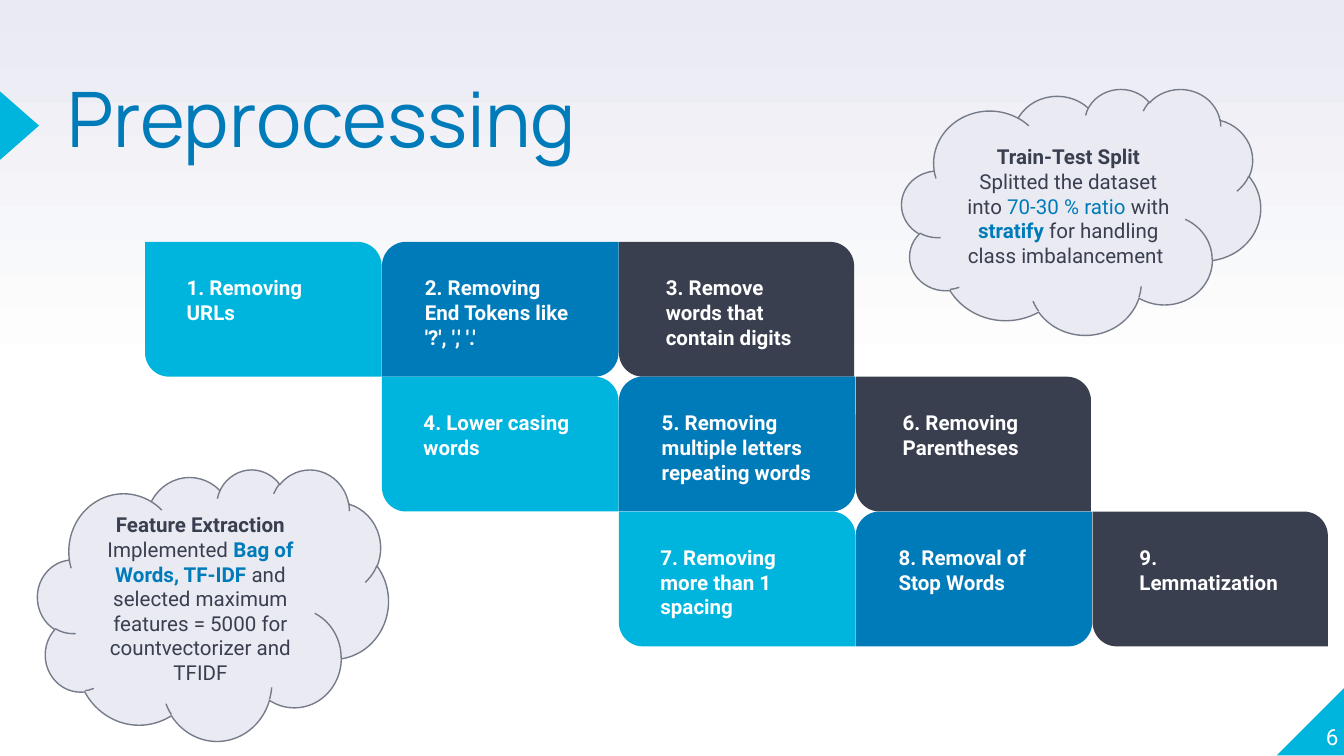
"""Build the Preprocessing slide: a staircase of nine steps and two cloud notes."""
from typing import NamedTuple

from pptx import Presentation
from pptx import util as u
from pptx.dml.color import RGBColor
from pptx.enum import shapes, text

COLORS = {
    "cyan": "00B5DD", "blue": "007BB9", "dark": "3A3F50",
    "pale": "E9EAF2", "outline": "757B89", "white": "FFFFFF",
}
MSO = shapes.MSO_SHAPE
ALIGN = text.PP_ALIGN
ANCHOR = text.MSO_ANCHOR
SLIDE_W = 10
SLIDE_H = SLIDE_W * 9 / 16
START_X, START_Y = 1.08, 1.8
PITCH_X, PITCH_Y = (8.13 - START_X) / 4, (4.81 - START_Y) / 3


class Box(NamedTuple):
    left: float
    top: float
    width: float
    height: float


class Run(NamedTuple):
    text: str
    color: str = "dark"
    bold: bool = False


class Column(NamedTuple):
    color: str
    corners: tuple[float, float]
    width: float
    inset: float
    text_width: float


class Cloud(NamedTuple):
    box: Box
    paragraphs: list[list[Run]]


COLUMNS = [
    Column("cyan", (0, 0.178), 1.76, 0.21, 1.32),
    Column("blue", (0.178, 0), 1.76, 0.22, 1.32),
    Column("dark", (0, 0.178), 1.75, 0.25, 1.25),
]
STEPS = [
    ["1. Removing URLs", "2. Removing End Tokens like '?', ',' '.'",
     "3. Remove words that contain digits"],
    ["4. Lower casing words", "5. Removing multiple letters repeating words",
     "6. Removing Parentheses"],
    ["7. Removing more than 1 spacing", "8. Removal of Stop Words",
     "9. Lemmatization"],
]
CLOUDS = [
    Cloud(Box(0.28, 3.49, 2.61, 2.02), [
        [Run("Feature Extraction", bold=True)],
        [Run("Implemented "), Run("Bag of Words, TF-IDF", "blue", True),
         Run(" and selected maximum features = 5000 for countvectorizer and TFIDF")],
    ]),
    Cloud(Box(6.71, 0.66, 2.67, 1.83), [
        [Run("Train-Test Split", bold=True)],
        [Run("Splitted the dataset into "), Run("70-30 % ratio", "blue"),
         Run(" with "), Run("stratify ", "blue", True),
         Run("for handling class imbalancement ")],
    ]),
]


def rgb(name: str) -> RGBColor:
    """Look up a palette colour."""
    return RGBColor.from_string(COLORS[name])


def inches(box: Box) -> list[u.Length]:
    """Convert a box to lengths."""
    return [u.Inches(v) for v in box]


def write(sp, paragraphs: list[list[Run]], size: float = 11, font: str = "Roboto",
          inset: float = 0.1, align=ALIGN.LEFT, anchor=ANCHOR.TOP) -> None:
    """Fill a shape's text frame with formatted runs."""
    tf = sp.text_frame
    margins = {f"margin_{side}": u.Inches(inset)
               for side in ("left", "top", "right", "bottom")}
    frame = {"word_wrap": True, "auto_size": text.MSO_AUTO_SIZE.NONE,
             "vertical_anchor": anchor, **margins}
    for name, value in frame.items():
        setattr(tf, name, value)
    for i, runs in enumerate(paragraphs):
        p = tf.add_paragraph() if i else tf.paragraphs[0]
        p.alignment = align
        for run in runs:
            r = p.add_run()
            r.text = run.text
            for name, value in {"size": u.Pt(size), "name": font, "bold": run.bold}.items():
                setattr(r.font, name, value)
            r.font.color.rgb = rgb(run.color)


def add_shape(s, kind, box: Box, color: str, rotation: float = 0):
    """Add a flat filled shape without outline."""
    sp = s.shapes.add_shape(kind, *inches(box))
    sp.shadow.inherit = False
    sp.fill.solid()
    sp.fill.fore_color.rgb = rgb(color)
    sp.line.fill.background()
    sp.rotation = rotation
    return sp


def add_step(s, row: int, col: int, label: str) -> None:
    """Add one step of the staircase."""
    column = COLUMNS[col]
    left, top = START_X + (row + col) * PITCH_X, START_Y + row * PITCH_Y
    sp = add_shape(s, MSO.ROUND_2_DIAG_RECTANGLE,
                   Box(left, top, column.width, PITCH_Y), column.color)
    for i, corner in enumerate(column.corners):
        sp.adjustments[i] = corner
    label_box = Box(left + column.inset, top + 0.15, column.text_width, 0.7)
    write(s.shapes.add_textbox(*inches(label_box)), [[Run(label, "white", True)]])


def add_cloud(s, cloud: Cloud) -> None:
    """Add an outlined cloud note."""
    sp = add_shape(s, MSO.CLOUD, cloud.box, "pale")
    sp.line.color.rgb = rgb("outline")
    sp.line.width = u.Pt(0.75)
    write(sp, cloud.paragraphs, align=ALIGN.CENTER, anchor=ANCHOR.MIDDLE)


def add_background(s) -> None:
    """Fade from white at mid-height to pale at the top."""
    fill = s.background.fill
    fill.gradient()
    fill.gradient_angle = 90
    for stop, (position, color) in zip(fill.gradient_stops, [(0.5, "white"), (1, "pale")]):
        stop.position = position
        stop.color.rgb = rgb(color)


def add_title(s, label: str) -> None:
    """Place and format the title."""
    title = s.shapes.title
    for name, value in zip(("left", "top", "width", "height"),
                           inches(Box(0.5, 0.66, 6.17, 0.59))):
        setattr(title, name, value)
    write(title, [[Run(label, "blue")]], size=41, font="Manrope", inset=0)
    title.text_frame.paragraphs[0].line_spacing = 0.8


def main() -> None:
    """Build and save the slide."""
    prs = Presentation()
    prs.slide_width, prs.slide_height = u.Inches(SLIDE_W), u.Inches(SLIDE_H)
    s = prs.slides.add_slide(prs.slide_layouts[5])
    add_background(s)
    add_shape(s, MSO.RIGHT_TRIANGLE, Box(9.5, 5.11, 0.51, 0.51), "cyan", 270)
    add_shape(s, MSO.ISOSCELES_TRIANGLE, Box(-0.11, 0.79, 0.51, 0.29), "cyan", 90)
    add_title(s, "Preprocessing")
    write(s.shapes.add_textbox(*inches(Box(9.46, 5.07, 0.5, 0.51))), [[Run("6", "white")]],
          size=12, inset=0, align=ALIGN.RIGHT, anchor=ANCHOR.BOTTOM)
    for row, labels in enumerate(STEPS):
        for col, label in enumerate(labels):
            add_step(s, row, col, label)
    for cloud in CLOUDS:
        add_cloud(s, cloud)
    prs.save("out.pptx")


if __name__ == "__main__":
    main()
